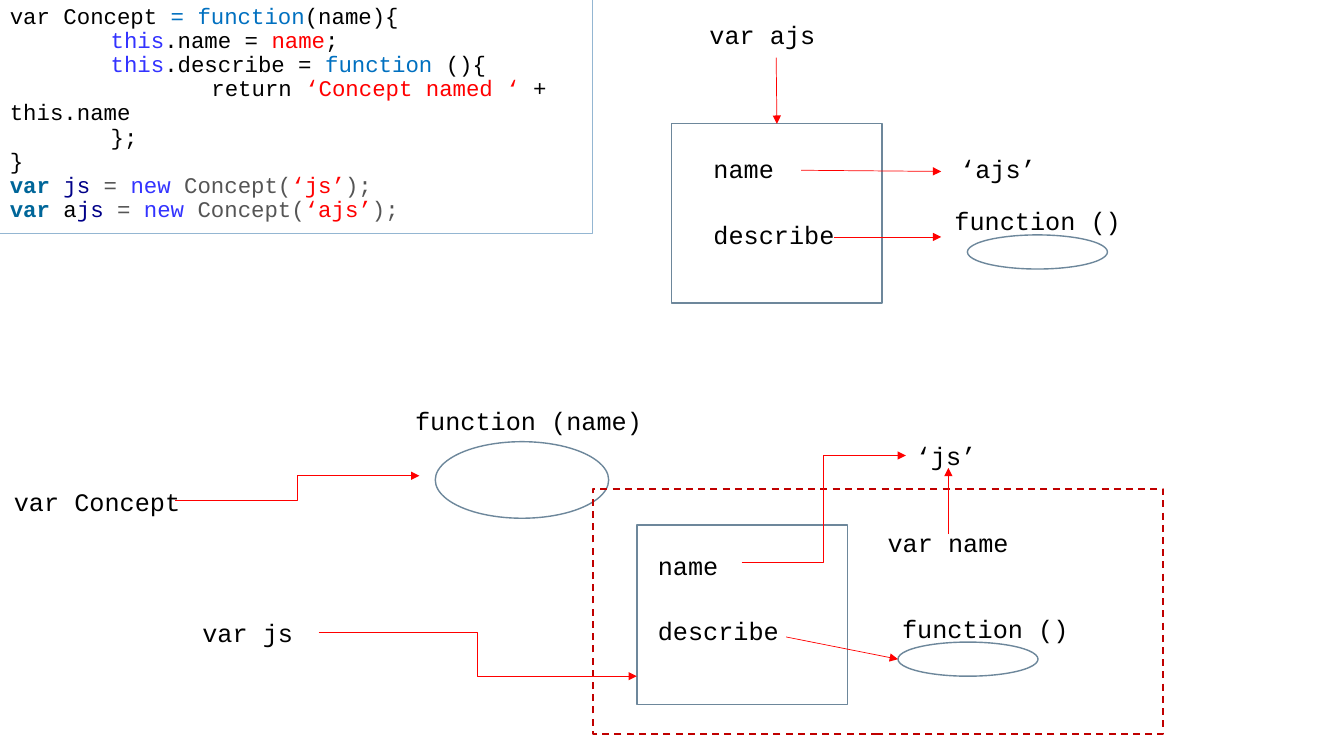
from lxml import etree
from pptx import Presentation
from pptx.dml.color import RGBColor
from pptx.enum import dml, shapes, text
from pptx.oxml import parse_xml
from pptx.oxml.ns import nsdecls, qn
from pptx.util import Cm, Pt

FONT = "Courier New"
COLORS = {
    "black": "000000", "white": "FFFFFF", "red": "FF0000", "dark red": "C00000",
    "blue": "0070C0", "violet": "3333FF", "teal": "006699", "navy": "000088",
    "grey": "555555", "slate": "6D879B", "sky": "94B6D2",
}

# Each line of code is a list of (words, colour) runs; teal runs are bold.
CODE = [
    [("var Concept ", "black"), ("= function", "blue"), ("(name){", "black")],
    [("\t", "black"), ("this", "violet"), (".name = ", "black"),
     ("name", "red"), (";", "black")],
    [("\t", "black"), ("this", "violet"), (".describe = ", "black"),
     ("function", "blue"), (" (){", "black")],
    [("\t\treturn ", "black"), ("‘Concept named ‘ ", "red"), ("+ this.name", "black")],
    [("\t};", "black")],
    [("}", "black")],
]
INSTANCES = [
    ([("js ", "navy")], "‘js’"),
    ([("a", "black"), ("js ", "navy")], "‘ajs’"),
]
for variable, argument in INSTANCES:
    CODE.append([("var ", "teal"), *variable, ("= ", "grey"), ("new", "violet"),
                 (" Concept(", "grey"), (argument, "red"), (");", "grey")])

# Lengths below are centimetres.
CODE_BOX = (0, 0, 14.94, 5.89)
CODE_TABS = (2.54, 5.08)
OBJECT_SIZE = (5.31, 4.52)
OBJECTS = [(16.92, 3.12), (16.05, 13.23)]
CLOSURE = (14.94, 12.32, 14.38, 6.17)
METHOD_SIZE = (3.53, 0.86)
METHODS = [(24.38, 5.92), (22.63, 16.18)]
CONSTRUCTOR = (10.97, 11.13, 4.37, 1.93)

PROPERTIES = [("name", 2.97), ("describe", 3.81)]
PROPERTY_STEP = 1.64
PROPERTY_STARTS = [(17.73, 3.75), (16.33, 13.74)]
LABELS = [  # words, left, top, width
    ("var ajs", 17.63, 0.36, 5.23),
    ("‘ajs’", 23.95, 3.73, 2.62),
    ("var Concept", 0.1, 12.14, 5.23),
    ("var js", 4.85, 15.42, 5.23),
    ("‘js’", 22.83, 10.97, 2.13),
    ("var name", 22.12, 13.16, 5.23),
]
LABEL_HEIGHT = 1.02
FUNCTION_WIDTH = 6.32
FUNCTIONS = [  # words, left, top, height
    ("function ()", 22.99, 5.13, 0.84),
    ("function ()", 21.67, 15.42, 0.84),
    ("function (name)", 10.16, 10.08, 1.04),
]
STRAIGHT_ARROWS = [  # from x, from y, to x, to y
    (19.56, 1.45, 19.58, 3.12),
    (20.19, 4.29, 23.72, 4.32),
    (21.03, 5.97, 23.72, 5.97),
    (23.9, 13.46, 23.9, 11.79),
    (19.81, 16.05, 22.63, 16.61),
]
BENT_ARROWS = [
    (4.42, 12.62, 10.57, 11.99),
    (18.69, 14.17, 22.83, 11.48),
    (8.03, 15.93, 16.05, 17.04),
]


def rgb(name):
    return RGBColor.from_string(COLORS[name])


def add_outline(slide, kind, box, color="slate", width=1, dash=None):
    sp = slide.shapes.add_shape(kind, *map(Cm, box))
    sp.shadow.inherit = False
    sp.fill.background()
    sp.line.color.rgb = rgb(color)
    sp.line.width = Pt(width)
    if dash:
        sp.line.dash_style = dash
    return sp


def add_run(p, words, size, color="black", bold=False):
    r = p.add_run()
    r.text = words
    r.font.name = FONT
    r.font.size = Pt(size)
    r.font.bold = bold
    r.font.color.rgb = rgb(color)


def add_label(slide, words, box, centred=False):
    tf = slide.shapes.add_textbox(*map(Cm, box)).text_frame
    tf.word_wrap = True
    p = tf.paragraphs[0]
    if centred:
        tf.vertical_anchor = text.MSO_ANCHOR.MIDDLE
        p.alignment = text.PP_ALIGN.CENTER
    add_run(p, words, 18)


def add_arrow(slide, kind, ends):
    cxn = slide.shapes.add_connector(kind, *map(Cm, ends))
    cxn.line.color.rgb = rgb("red")
    cxn.line.width = Pt(0.5)
    cxn.line._get_or_add_ln().append(
        parse_xml(f'<a:tailEnd {nsdecls("a")} type="triangle"/>'))
    cxn._element.spPr.append(parse_xml(f'<a:effectLst {nsdecls("a")}/>'))


def set_tabs(p, stops):
    tabs = etree.SubElement(p._p.get_or_add_pPr(), qn("a:tabLst"))
    for stop in stops:
        etree.SubElement(tabs, qn("a:tab"), pos=str(int(Cm(stop))), algn="l")


def add_code(slide):
    sp = add_outline(slide, shapes.MSO_SHAPE.RECTANGLE, CODE_BOX, "sky", 0.75)
    tf = sp.text_frame
    tf.word_wrap = True
    tf.vertical_anchor = text.MSO_ANCHOR.TOP
    for i, line in enumerate(CODE):
        p = tf.add_paragraph() if i else tf.paragraphs[0]
        p.alignment = text.PP_ALIGN.LEFT
        p.line_spacing = 0.9
        set_tabs(p, CODE_TABS)
        for words, color in line:
            add_run(p, words, 16, color, bold=color == "teal")


def main():
    prs = Presentation()
    prs.slide_width, prs.slide_height = Cm(33.87), Cm(19.05)
    slide = prs.slides.add_slide(prs.slide_layouts[6])
    slide.background.fill.solid()
    slide.background.fill.fore_color.rgb = rgb("white")

    add_code(slide)
    rectangle, oval = shapes.MSO_SHAPE.RECTANGLE, shapes.MSO_SHAPE.OVAL
    for corner in OBJECTS:
        add_outline(slide, rectangle, corner + OBJECT_SIZE)
    for corner in METHODS:
        add_outline(slide, oval, corner + METHOD_SIZE)
    add_outline(slide, oval, CONSTRUCTOR)
    add_outline(slide, rectangle, CLOSURE, "dark red", 1.25, dml.MSO_LINE.DASH)

    for ends in STRAIGHT_ARROWS:
        add_arrow(slide, shapes.MSO_CONNECTOR.STRAIGHT, ends)
    for ends in BENT_ARROWS:
        add_arrow(slide, shapes.MSO_CONNECTOR.ELBOW, ends)

    for left, top in PROPERTY_STARTS:
        for row, (words, width) in enumerate(PROPERTIES):
            add_label(slide, words,
                      (left, top + row * PROPERTY_STEP, width, LABEL_HEIGHT))
    for words, left, top, width in LABELS:
        add_label(slide, words, (left, top, width, LABEL_HEIGHT))
    for words, left, top, height in FUNCTIONS:
        add_label(slide, words, (left, top, FUNCTION_WIDTH, height), centred=True)

    prs.save("out.pptx")


if __name__ == "__main__":
    main()
